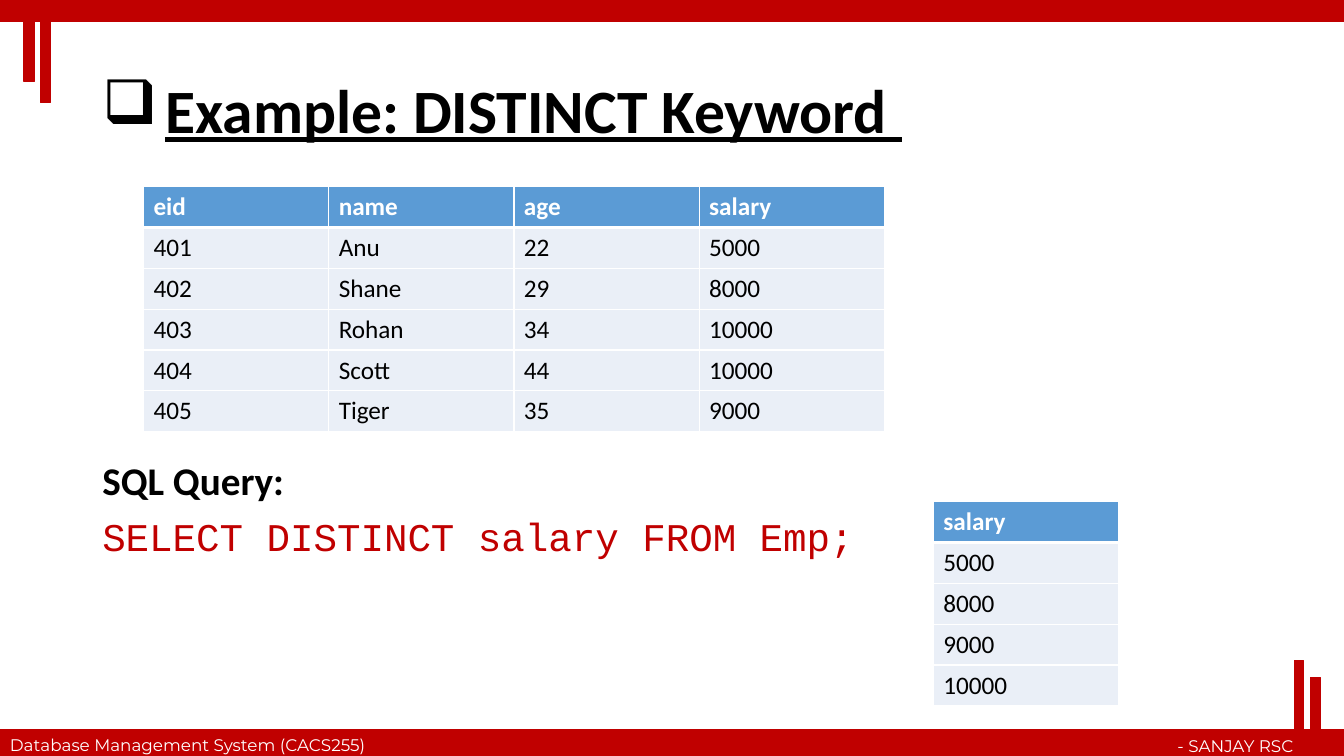
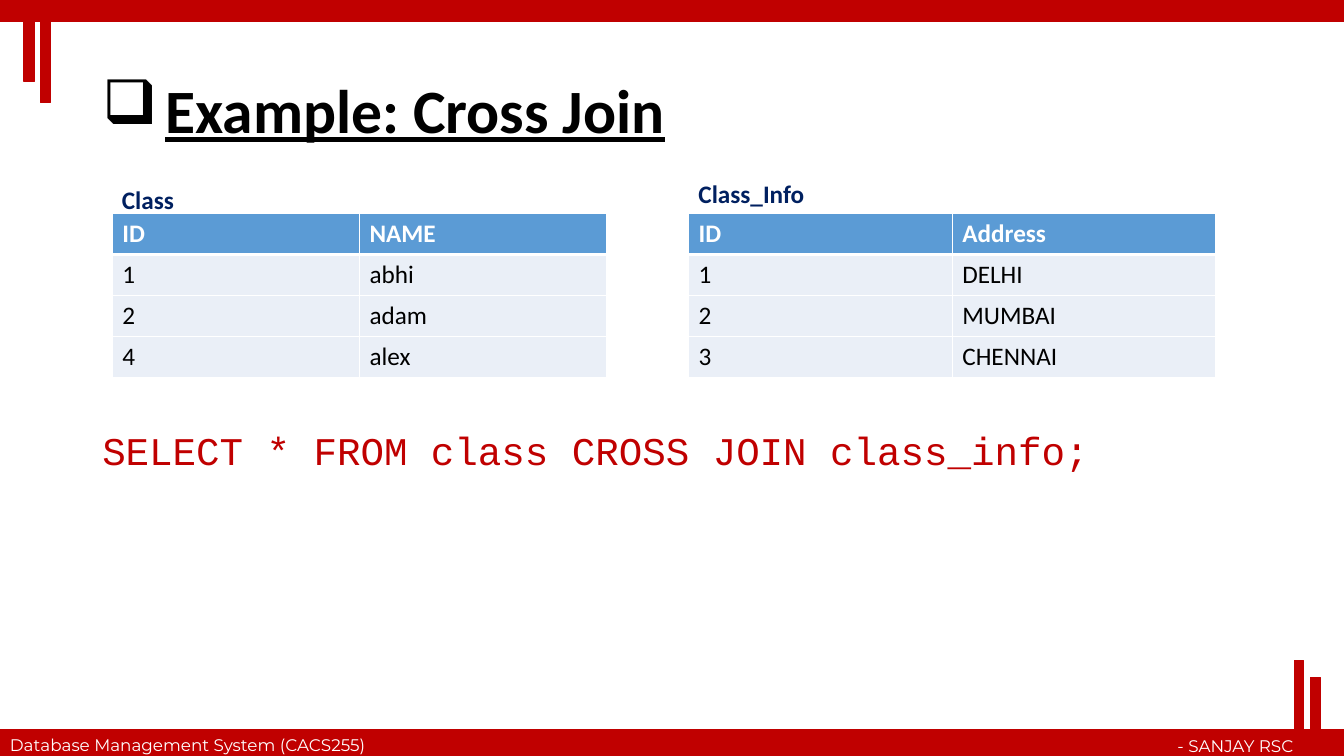
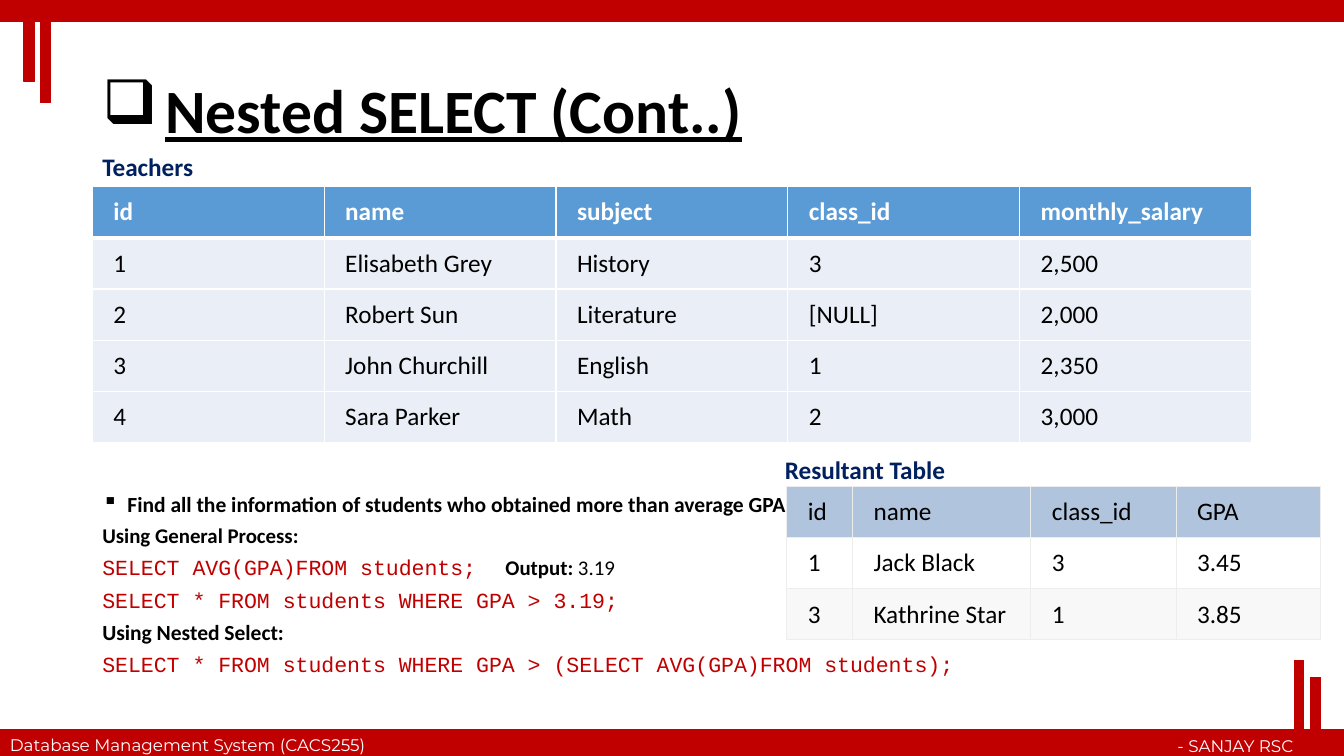
from lxml import etree
from pptx import Presentation
from pptx.dml.color import RGBColor
from pptx.enum import shapes, text
from pptx.oxml import ns
from pptx.util import Pt

RED, BLACK, WHITE, NAVY = "C00000", "000000", "FFFFFF", "002060"
BLUE, PALE, STEEL, SMOKE, GREY = "5B9BD5", "EAEFF7", "B0C4DE", "F8F8F8", "EDEDED"
MONO = "Courier New"
LEFT, WIDE = 66, 828
BARS = [
    (0, 521.3, 960, 18.7), (0, 0, 960, 15.1),
    (28.8, 0.7, 7.2, 72.7), (17.3, 2.2, 7.2, 56.2),
    (924.5, 471.6, 6.5, 67.7), (936, 483.8, 7.2, 56.2),
]


def color(code):
    return RGBColor.from_string(code)


def sub(node, tag, **attrs):
    return etree.SubElement(node, ns.qn(tag), attrs)


# Text
def write(frame, *paras, lead=None, gap=None, align=None, bullet=None,
          indent=0, **style):
    """Each paragraph is a string, or a list of (words, overrides) runs."""
    for i, item in enumerate(paras):
        para = frame.paragraphs[0] if i == 0 else frame.add_paragraph()
        para.alignment = align
        if lead:
            para.line_spacing = lead
        if gap:
            para.space_before = Pt(gap)
        if bullet and i == 0:
            props = para._p.get_or_add_pPr()
            props.set("marL", str(Pt(indent)))
            props.set("indent", str(-Pt(indent)))
            sub(props, "a:buChar", char=bullet)
        runs = [(item, {})] if isinstance(item, str) else item
        for words, extra in runs:
            look = {"size": 18, "face": "Calibri", "ink": BLACK,
                    "bold": False, "line": False, **style, **extra}
            run = para.add_run()
            run.text = words
            font = run.font
            font.size, font.name = Pt(look["size"]), look["face"]
            font.bold, font.underline = look["bold"], look["line"]
            font.color.rgb = color(look["ink"])


def label(slide, box, *paras, anchor=text.MSO_ANCHOR.TOP, **style):
    frame = slide.shapes.add_textbox(*map(Pt, box)).text_frame
    frame.word_wrap = True
    frame.vertical_anchor = anchor
    write(frame, *paras, **style)


def name(slide, left, top, words):
    label(slide, (left, top, 140, 29), words, ink=NAVY, bold=True)


# Tables
def edge(cell, widths, ink):
    """Draw the cell borders; widths run left, right, top, bottom."""
    props = cell._tc.get_or_add_tcPr()
    for i, (side, width) in enumerate(zip("LRTB", widths)):
        line = etree.Element(ns.qn("a:ln" + side), w=str(Pt(width)))
        sub(sub(line, "a:solidFill"), "a:srgbClr", val=ink)
        props.insert(i, line)


def grid(slide, left, top, cols, rows, high=29.2, pad=None, head=BLUE,
         fills=(PALE,), ink=WHITE, bold=True, rim=WHITE, thin=1, thick=3):
    box = map(Pt, (left, top, sum(cols), high * len(rows)))
    table = slide.shapes.add_table(len(rows), len(cols), *box).table
    table.first_row = table.horz_banding = False
    for col, width in zip(table.columns, cols):
        col.width = Pt(width)
    for r, row in enumerate(rows):
        table.rows[r].height = Pt(high)
        shade = fills[(r - 1) % len(fills)] if r else head
        for c, words in enumerate(row):
            cell = table.cell(r, c)
            if pad:
                cell.margin_left = cell.margin_right = Pt(pad[0])
                cell.margin_top = cell.margin_bottom = Pt(pad[1])
                cell.vertical_anchor = text.MSO_ANCHOR.MIDDLE
            if shade:
                cell.fill.solid()
                cell.fill.fore_color.rgb = color(shade)
            else:
                cell.fill.background()
            write(cell.text_frame, words, ink=BLACK if r else ink,
                  bold=bold and r == 0)
            edge(cell, (thin, thin, thick if r == 1 else thin,
                        thick if r == 0 else thin), rim)


# Shared frame and title
def base(deck, title):
    slide = deck.slides.add_slide(deck.slide_layouts[6])
    for box in BARS:
        bar = slide.shapes.add_shape(shapes.MSO_SHAPE.RECTANGLE, *map(Pt, box))
        bar.shadow.inherit = False
        bar.fill.solid()
        bar.fill.fore_color.rgb = bar.line.color.rgb = color(RED)
        bar.line.width = Pt(1)
    foot = {"size": 12, "face": "Montserrat", "ink": WHITE}
    label(slide, (0, 521.3, 299.5, 21.8),
          "Database Management System (CACS255)", **foot)
    label(slide, (698.4, 522, 232.6, 21.8), "- SANJAY RSC",
          align=text.PP_ALIGN.RIGHT, **foot)
    label(slide, (LEFT, 28.8, WIDE, 104.4), title, size=44, bold=True,
          line=True, lead=0.9, bullet="❑", indent=45,
          anchor=text.MSO_ANCHOR.MIDDLE)
    return slide


# Slides
def distinct(deck):
    slide = base(deck, "Example: DISTINCT Keyword ")
    code = {"face": MONO, "ink": RED, "bold": False}
    label(slide, (LEFT, 326.2, WIDE, 84.2), "SQL Query:",
          [("SELECT DISTINCT salary FROM Emp;", code)],
          size=28, bold=True, lead=0.9, gap=10)
    grid(slide, 102.5, 133.2, [132.3] * 4, [
        ("eid", "name", "age", "salary"),
        ("401", "Anu", "22", "5000"),
        ("402", "Shane", "29", "8000"),
        ("403", "Rohan", "34", "10000"),
        ("404", "Scott", "44", "10000"),
        ("405", "Tiger", "35", "9000"),
    ])
    grid(slide, 666.7, 358.2, [132.3],
         [("salary",), ("5000",), ("8000",), ("9000",), ("10000",)])


def cross(deck):
    slide = base(deck, "Example: Cross Join")
    label(slide, (LEFT, 304.6, WIDE, 42.5),
          "SELECT * FROM class CROSS JOIN class_info;",
          size=28, face=MONO, ink=RED, lead=0.9, gap=10)
    grid(slide, 80.2, 152.6, [176.6] * 2,
         [("ID", "NAME"), ("1", "abhi"), ("2", "adam"), ("4", "alex")])
    grid(slide, 491.8, 152.6, [188.4] * 2,
         [("ID", "Address"), ("1", "DELHI"), ("2", "MUMBAI"),
          ("3", "CHENNAI")])
    name(slide, 80, 128.2, "Class")
    name(slide, 491.8, 123.8, "Class_Info")


def nested(deck):
    slide = base(deck, "Nested SELECT (Cont..)")
    code = {"face": MONO, "ink": RED}
    strong = {"size": 14.9, "bold": True}
    small = {**code, "size": 14.9}
    label(slide, (LEFT, 352.1, WIDE, 134.6),
          [("Find all the information of students who obtained more than "
            "average GPA", {"bold": True}), (".", {})],
          [("Using General Process:", strong)],
          [("SELECT AVG(GPA)FROM students;\t", code), ("Output:", strong),
           (" 3.19", {"size": 14.9})],
          [("SELECT * FROM students WHERE GPA > 3.19;", code)],
          [("Using Nested Select:", {"bold": True})],
          [("SELECT * FROM students WHERE GPA > "
            "(SELECT AVG(GPA)FROM students);", code)],
          size=15.4, lead=0.7, gap=10, bullet="▪", indent=18)
    name(slide, LEFT, 104.4, "Teachers")
    roomy = {"high": 36.6, "pad": (15, 7.5)}
    grid(slide, LEFT, 133.2, [WIDE / 5] * 5, [
        ("id", "name", "subject", "class_id", "monthly_salary"),
        ("1", "Elisabeth Grey", "History", "3", "2,500"),
        ("2", "Robert Sun", "Literature", "[NULL]", "2,000"),
        ("3", "John Churchill", "English", "1", "2,350"),
        ("4", "Sara Parker", "Math", "2", "3,000"),
    ], **roomy)
    grid(slide, 562, 347.3, [47, 127.4, 103.7, 103], [
        ("id", "name", "class_id", "GPA"),
        ("1", "Jack Black", "3", "3.45"),
        ("3", "Kathrine Star", "1", "3.85"),
    ], head=STEEL, fills=(None, SMOKE), ink=BLACK, bold=False, rim=GREY,
        thin=0.75, thick=0.75, **roomy)
    name(slide, 553.5, 321.1, "Resultant Table")


def main():
    deck = Presentation()
    deck.slide_width, deck.slide_height = Pt(960), Pt(540)
    for build in (distinct, cross, nested):
        build(deck)
    deck.save("out.pptx")


if __name__ == "__main__":
    main()
